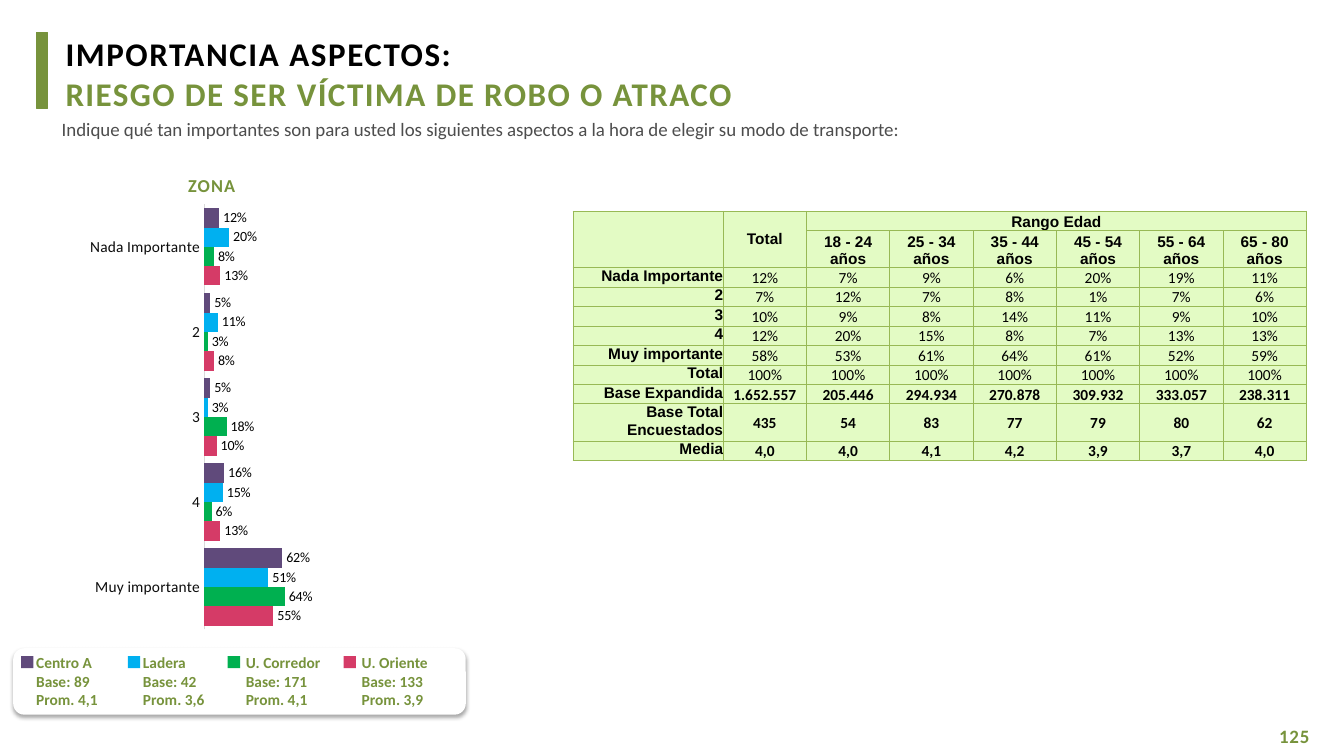
from lxml import etree
from pptx import Presentation
from pptx.chart.data import CategoryChartData
from pptx.dml.color import RGBColor
from pptx.enum.chart import XL_CHART_TYPE, XL_LABEL_POSITION, XL_TICK_MARK
from pptx.enum.shapes import MSO_SHAPE
from pptx.enum.text import MSO_ANCHOR, MSO_AUTO_SIZE, PP_ALIGN
from pptx.oxml import parse_xml
from pptx.oxml.ns import nsdecls, qn
from pptx.util import Pt

GREEN = RGBColor(0x77, 0x93, 0x3C)
PURPLE = RGBColor(0x60, 0x4A, 0x7B)
BLUE = RGBColor(0x00, 0xB0, 0xF0)
EMERALD = RGBColor(0x00, 0xB0, 0x50)
PINK = RGBColor(0xD5, 0x3B, 0x67)
BLACK = RGBColor(0x00, 0x00, 0x00)
WHITE = RGBColor(0xFF, 0xFF, 0xFF)
GRAY = RGBColor(0x4D, 0x4D, 0x4D)
AXIS_TEXT = RGBColor(0x0D, 0x0D, 0x0D)
AXIS_LINE = RGBColor(0xD9, 0xD9, 0xD9)
CELL_FILL = RGBColor(0xE3, 0xFB, 0xC4)
CELL_BORDER = RGBColor(0x98, 0xB9, 0x55)


def write_lines(frame, lines, size, color, bold=False, spacing=0, align=PP_ALIGN.LEFT,
                font_name="Calibri"):
    for index, line in enumerate(lines):
        paragraph = frame.paragraphs[0] if index == 0 else frame.add_paragraph()
        paragraph.alignment = align
        run = paragraph.add_run()
        run.text = line
        formats = {"size": Pt(size), "bold": bold, "name": font_name}
        for attribute, value in formats.items():
            setattr(run.font, attribute, value)
        run.font.color.rgb = color
        if spacing:
            run._r.get_or_add_rPr().set("spc", str(int(spacing * 100)))


def add_block(kind, left, top, width, height, color):
    shape = slide.shapes.add_shape(kind, Pt(left), Pt(top), Pt(width), Pt(height))
    shape.shadow.inherit = False
    shape.fill.solid()
    shape.fill.fore_color.rgb = color
    shape.line.fill.background()
    return shape


presentation = Presentation()
presentation.slide_width, presentation.slide_height = Pt(960), Pt(540)
slide = presentation.slides.add_slide(presentation.slide_layouts[5])

# Title with its accent bar
accent = add_block(MSO_SHAPE.RECTANGLE, 26.4, 23, 7.4, 54.6, GREEN)
accent.line.color.rgb = GREEN
accent.line.width = Pt(0.75)

title = slide.shapes.title
title.left, title.top, title.width, title.height = Pt(46.8), Pt(23.7), Pt(774), Pt(59)
frame = title.text_frame
for attribute, value in {"margin_left": 0, "margin_right": 0, "margin_top": 0,
                         "margin_bottom": 0, "word_wrap": True,
                         "auto_size": MSO_AUTO_SIZE.NONE,
                         "vertical_anchor": MSO_ANCHOR.TOP}.items():
    setattr(frame, attribute, value)
write_lines(frame, ["IMPORTANCIA ASPECTOS:", "RIESGO DE SER VÍCTIMA DE ROBO O ATRACO"],
            23.6, BLACK, True, 1.1)
subject = frame.paragraphs[1]
subject.space_before = Pt(0.7)
subject.runs[0].font.color.rgb = GREEN
subject.runs[0]._r.get_or_add_rPr().set("spc", "100")

# Question, chart heading and page number
question = ("Indique qué tan importantes son para usted los siguientes aspectos "
            "a la hora de elegir su modo de transporte:")
captions = [
    (question, 44.1, 84.2, 758, 17, 13.5, GRAY, False, 0, PP_ALIGN.LEFT),
    ("ZONA", 66.2, 124.5, 170, 16, 13, GREEN, True, 0.8, PP_ALIGN.CENTER),
    ("125", 913.7, 517.9, 32, 17, 13.5, GREEN, True, 0.6, PP_ALIGN.LEFT),
]
for text, left, top, width, height, *style in captions:
    box = slide.shapes.add_textbox(Pt(left), Pt(top), Pt(width), Pt(height))
    frame = box.text_frame
    frame.word_wrap = True
    frame.margin_left = frame.margin_right = frame.margin_top = frame.margin_bottom = 0
    write_lines(frame, [text], *style)

# Bar chart by zone
zones = [
    ("Centro A", "89", "4,1", PURPLE, 15.1, 18.7, 59, (0.12, 0.05, 0.05, 0.16, 0.62)),
    ("Ladera", "42", "3,6", BLUE, 91.4, 95, 59, (0.20, 0.11, 0.03, 0.15, 0.51)),
    ("U. Corredor", "171", "4,1", EMERALD, 162.7, 168.5, 68.4, (0.08, 0.03, 0.18, 0.06, 0.64)),
    ("U. Oriente", "133", "3,9", PINK, 245.5, 251.3, 62.6, (0.13, 0.08, 0.10, 0.13, 0.55)),
]
chart_data = CategoryChartData(number_format="###0%")
chart_data.categories = ["Nada Importante", "2", "3", "4", "Muy importante"]
for zone in zones:
    chart_data.add_series(zone[0], zone[-1])
chart = slide.shapes.add_chart(XL_CHART_TYPE.BAR_CLUSTERED, Pt(-2.2), Pt(133.9),
                               Pt(242.6), Pt(326.2), chart_data).chart
chart.has_legend = False
chart.has_title = False
chart.font.name, chart.font.size = "Calibri", Pt(10)
chart.font.color.rgb = BLACK

plot = chart.plots[0]
plot.gap_width, plot.overlap, plot.vary_by_categories = 40, 0, False
for series, zone in zip(plot.series, zones):
    series.format.fill.solid()
    series.format.fill.fore_color.rgb = zone[3]
    labels = series.data_labels
    labels.show_value = True
    labels.position = XL_LABEL_POSITION.OUTSIDE_END
    labels.number_format, labels.number_format_is_linked = "###0%", False
    labels.font.name, labels.font.size = "Calibri", Pt(10)
    labels.font.color.rgb = BLACK

category_axis = chart.category_axis
category_axis.reverse_order = True
category_axis.major_tick_mark = XL_TICK_MARK.NONE
category_axis.tick_labels.font.name = "Calibri"
category_axis.tick_labels.font.size = Pt(11)
category_axis.tick_labels.font.color.rgb = AXIS_TEXT
category_axis.format.line.color.rgb = AXIS_LINE
category_axis.format.line.width = Pt(0.75)
value_axis = chart.value_axis
value_axis.minimum_scale, value_axis.maximum_scale = 0, 1
value_axis.has_major_gridlines = False
value_axis.visible = False

# Fixed inner plot area
plot_area = chart._chartSpace.chart.plotArea
for old_layout in plot_area.findall(qn("c:layout")):
    plot_area.remove(old_layout)
layout = parse_xml(f'<c:layout {nsdecls("c")}><c:manualLayout/></c:layout>')
settings = {"layoutTarget": "inner", "xMode": "edge", "yMode": "edge",
            "x": 0.61, "y": 0.037, "w": 0.372, "h": 0.931}
for tag, value in settings.items():
    etree.SubElement(layout[0], qn(f"c:{tag}")).set("val", str(value))
plot_area.insert(0, layout)

# Legend card with soft shadow
card = add_block(MSO_SHAPE.ROUNDED_RECTANGLE, 9.4, 463, 323.3, 47.5, WHITE)
effects = card._element.spPr.find(qn("a:effectLst"))
effects.append(parse_xml(
    f'<a:outerShdw {nsdecls("a")} blurRad="{Pt(3.1)}" dist="{Pt(1.8)}" dir="5400000" '
    'rotWithShape="0"><a:srgbClr val="000000"><a:alpha val="35000"/></a:srgbClr></a:outerShdw>'))
for name, base, average, color, key_left, text_left, text_width, values in zones:
    add_block(MSO_SHAPE.RECTANGLE, key_left, 468.7, 8.8, 8.6, color)
    box = slide.shapes.add_textbox(Pt(text_left), Pt(463), Pt(text_width), Pt(47.5))
    box.text_frame.word_wrap = False
    box.text_frame.auto_size = MSO_AUTO_SIZE.SHAPE_TO_FIT_TEXT
    write_lines(box.text_frame, [name, f"Base: {base}", f"Prom. {average}"], 11, GREEN, True)

# Table by age range
rows = [
    ["", "Total", "Rango Edad", "", "", "", "", ""],
    ["", ""] + [f"{ages} años" for ages in
                ("18 - 24", "25 - 34", "35 - 44", "45 - 54", "55 - 64", "65 - 80")],
    ["Nada Importante", "12%", "7%", "9%", "6%", "20%", "19%", "11%"],
    ["2", "7%", "12%", "7%", "8%", "1%", "7%", "6%"],
    ["3", "10%", "9%", "8%", "14%", "11%", "9%", "10%"],
    ["4", "12%", "20%", "15%", "8%", "7%", "13%", "13%"],
    ["Muy importante", "58%", "53%", "61%", "64%", "61%", "52%", "59%"],
    ["Total"] + ["100%"] * 7,
    ["Base Expandida", "1.652.557", "205.446", "294.934", "270.878", "309.932", "333.057", "238.311"],
    ["Base Total Encuestados", "435", "54", "83", "77", "79", "80", "62"],
    ["Media", "4,0", "4,0", "4,1", "4,2", "3,9", "3,7", "4,0"],
]
table = slide.shapes.add_table(len(rows), 8, Pt(409.4), Pt(150.9), Pt(523.7), Pt(177)).table
table.first_row = table.horz_banding = False
for index, column in enumerate(table.columns):
    column.width = Pt(107.2 if index == 0 else 59.5)
for row_index, texts in enumerate(rows):
    table.rows[row_index].height = Pt(26.4 if row_index in (1, 9) else 13.8)
    for column_index, text in enumerate(texts):
        cell = table.cell(row_index, column_index)
        is_header, is_label = row_index < 2, column_index == 0
        is_value = not (is_header or is_label)
        margin = Pt(0.7) if is_value else 0
        cell.margin_left = cell.margin_right = cell.margin_top = margin
        cell.margin_bottom = 0
        if is_value or (row_index, column_index) == (0, 1):
            cell.vertical_anchor = MSO_ANCHOR.MIDDLE
        else:
            cell.vertical_anchor = MSO_ANCHOR.BOTTOM if is_header else MSO_ANCHOR.TOP
        write_lines(cell.text_frame, [text], 11, BLACK, not is_value or row_index > 7, 0,
                    PP_ALIGN.RIGHT if is_label else PP_ALIGN.CENTER,
                    "Calibri" if is_value else "Arial")
        for side in ("lnL", "lnR", "lnT", "lnB"):
            cell._tc.get_or_add_tcPr().append(parse_xml(
                f'<a:{side} {nsdecls("a")} w="{Pt(0.75)}"><a:solidFill>'
                f'<a:srgbClr val="{CELL_BORDER}"/></a:solidFill></a:{side}>'))
        cell.fill.solid()
        cell.fill.fore_color.rgb = CELL_FILL
for start, end in [((0, 0), (1, 0)), ((0, 1), (1, 1)), ((0, 2), (0, 7))]:
    table.cell(*start).merge(table.cell(*end))

presentation.save("out.pptx")
